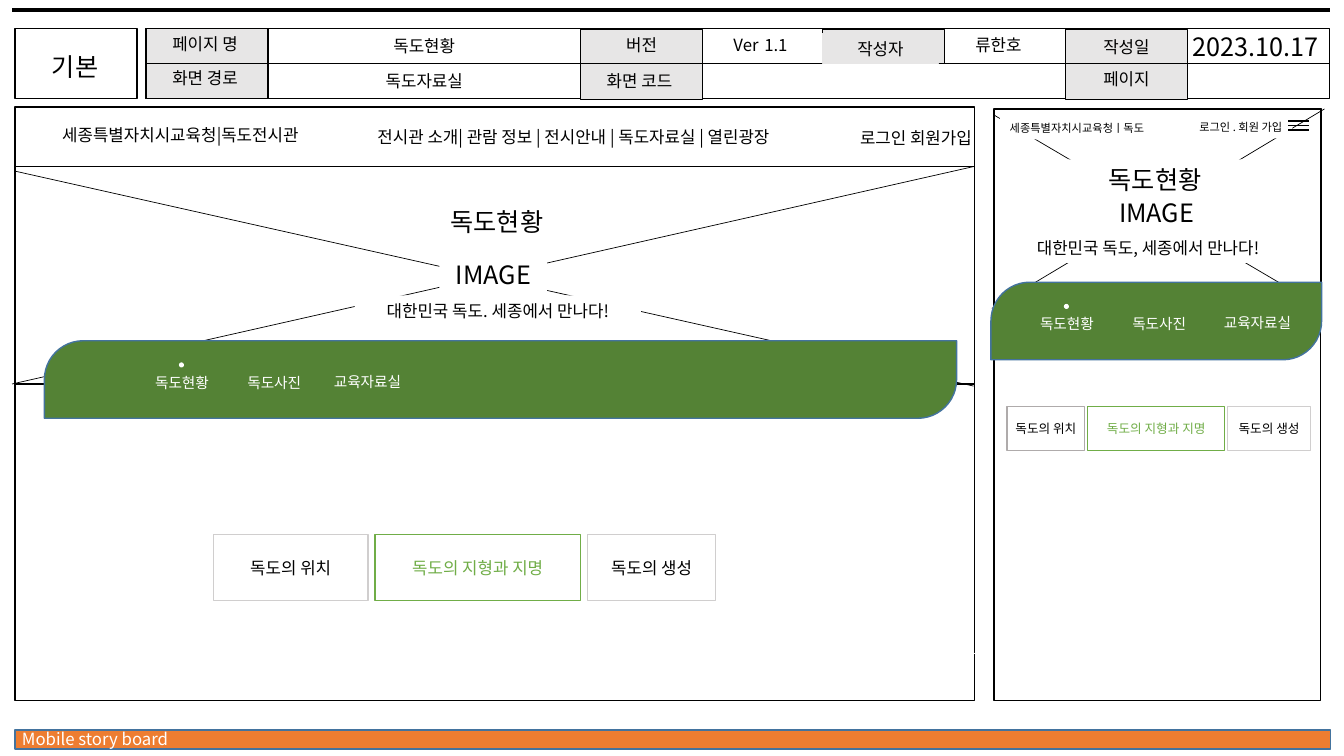
from dataclasses import dataclass
from typing import Optional

from lxml.etree import SubElement
from pptx import Presentation
from pptx.dml.color import RGBColor
from pptx.enum.shapes import MSO_CONNECTOR, MSO_SHAPE
from pptx.enum.text import MSO_ANCHOR, MSO_AUTO_SIZE, PP_ALIGN
from pptx.oxml.ns import qn
from pptx.util import Pt

FONT = "Noto Sans CJK KR"
INK = {
    "black": "000000", "white": "FFFFFF", "orange": "ED7D31", "blue": "43739E",
    "cell": "E7E6E6", "pale": "D0CECE", "grey": "AFABAB",
    "green": "70AD47", "forest": "548235",
}
LEFT, MID, RIGHT = PP_ALIGN.LEFT, PP_ALIGN.CENTER, PP_ALIGN.RIGHT


@dataclass
class Box:
    x: float
    y: float
    w: float
    h: float
    fill: Optional[str] = None
    line: Optional[str] = "black"
    weight: float = 1
    kind: MSO_SHAPE = MSO_SHAPE.RECTANGLE


@dataclass
class Label:
    text: str
    x: float
    y: float
    w: float
    size: float = 12
    ink: str = "black"
    align: PP_ALIGN = MID
    fill: Optional[str] = None


@dataclass
class Rule:
    x1: float
    y1: float
    x2: float
    y2: float
    ink: str = "black"
    weight: float = 0.5


@dataclass
class Topic:
    text: str
    x: float
    w: float
    line: str
    ink: str = "black"


deck = Presentation()
deck.slide_width, deck.slide_height = Pt(960), Pt(540)
slide = deck.slides.add_slide(deck.slide_layouts[5])
shapes = slide.shapes


def shade(name: str) -> RGBColor:
    return RGBColor.from_string(INK[name])


def high(size: float) -> float:
    return size * 1.2 + 7.2


def draw_box(box: Box):
    shape = shapes.add_shape(box.kind, Pt(box.x), Pt(box.y), Pt(box.w), Pt(box.h))
    shape.shadow.inherit = False
    if box.fill:
        shape.fill.solid()
        shape.fill.fore_color.rgb = shade(box.fill)
    else:
        shape.fill.background()
    if box.line:
        shape.line.color.rgb = shade(box.line)
        shape.line.width = Pt(box.weight)
    else:
        shape.line.fill.background()
    return shape


def draw_rule(rule: Rule) -> None:
    line = shapes.add_connector(
        MSO_CONNECTOR.STRAIGHT, Pt(rule.x1), Pt(rule.y1), Pt(rule.x2), Pt(rule.y2))
    line.line.color.rgb = shade(rule.ink)
    line.line.width = Pt(rule.weight)
    SubElement(line._element.spPr, qn("a:effectLst"))


def write(shape, label: Label):
    frame = shape.text_frame
    frame.word_wrap = True
    frame.auto_size = MSO_AUTO_SIZE.SHAPE_TO_FIT_TEXT
    frame.vertical_anchor = MSO_ANCHOR.TOP
    if label.fill:
        shape.fill.solid()
        shape.fill.fore_color.rgb = shade(label.fill)
    line = frame.paragraphs[0]
    line.text = label.text
    line.alignment = label.align
    font = line.font
    font.size = Pt(label.size)
    font.color.rgb = shade(label.ink)
    font.name = FONT
    SubElement(font._element, qn("a:ea")).set("typeface", FONT)
    return line


def draw_label(label: Label):
    shape = shapes.add_textbox(
        Pt(label.x), Pt(label.y), Pt(label.w), Pt(high(label.size)))
    return write(shape, label)


def draw_all(*parts) -> None:
    tools = {Box: draw_box, Label: draw_label, Rule: draw_rule}
    for part in parts:
        tools[type(part)](part)


def draw_panel(x: float, y: float, w: float, start: float, last: float) -> None:
    panel = draw_box(Box(x, y, w, 55.4, "forest", "blue",
                         kind=MSO_SHAPE.ROUND_2_DIAG_RECTANGLE))
    panel.adjustments[0], panel.adjustments[1] = 0.5, 0
    draw_box(Box(start + 32, y + 15.5, 3.6, 3.6, "white", None, kind=MSO_SHAPE.OVAL))
    tabs = [("독도현황", 0, 68.4, 20), ("독도사진", 57.6, 85, 20),
            ("교육자료실", 124.2, last, 19.2)]
    for text, shift, wide, drop in tabs:
        draw_label(Label(text, start + shift, y + drop, wide, 10.5, "white"))


def draw_topics(y: float, h: float, size: float, topics: list[Topic]) -> None:
    for topic in topics:
        draw_box(Box(topic.x, y, topic.w, h, None, topic.line))
        draw_label(Label(topic.text, topic.x - 8, y + (h - high(size)) / 2,
                         topic.w + 16, size, topic.ink))


draw_all(
    Rule(8.6, 7.2, 949.7, 7.2, weight=3),
    Box(10.8, 521.3, 939.6, 13.7, "orange", "blue"),
    Label("Mobile story board", 8.6, 517, 230.4, ink="white", align=LEFT),
    Box(10.8, 20.2, 87.1, 50.4),
    Box(104.4, 20.2, 845.3, 50.4),
    Box(10.8, 76.3, 685.4, 424.1),
)
for x, y, h in [(104.4, 20.2, 50.4), (414.7, 20.9, 50.4),
                (587.5, 20.9, 24.5), (761, 20.9, 50.4)]:
    draw_box(Box(x, y, 87.1, h, "cell"))
draw_all(
    Rule(104.4, 45.4, 949.7, 45.4),
    Box(587.5, 23.8, 82.8, 21.6, None, "cell", 0.75),
    Label("기본", 12.2, 33.1, 82.8, 18),
    Label("페이지 명", 105.1, 20.9, 82.8),
    Label("화면 경로", 105.1, 44.6, 82.8),
    Label("버전", 416.9, 21.6, 82.8),
    Label("화면 코드", 415.4, 46.8, 82.8),
    Label("작성자", 587.5, 23.8, 82.8),
    Label("작성일", 763.2, 23, 82.8),
    Label("페이지", 763.2, 45.4, 82.8),
    Label("류한호", 640.8, 21.6, 144.7),
    Label("2023.10.17", 824.4, 18.7, 144.7, 18),
    Label("독도현황", 220.3, 22.3, 165.6),
    Label("독도자료실", 220.3, 46.8, 165.6),
)
stamp = draw_label(Label("Ver", 470.9, 15.1, 144.7))
for text, size in [(" ", 18), ("1.1", 12)]:
    run = stamp.add_run()
    run.text = text
    run.font.size = Pt(size)

draw_all(
    Box(10.8, 118.8, 685.4, 155.5),
    Label("세종특별자치시교육청|독도전시관", 18.7, 85.7, 220.3),
    Label("전시관 소개| 관람 정보 | 전시안내 | 독도자료실 | 열린광장", 242.6, 87.1, 334.1),
    Label("로그인 회원가입", 419.8, 87.8, 281.5, align=RIGHT),
    Rule(38.2, 226.8, 697.7, 467.3, "white"),
    Rule(8.6, 274.3, 696.2, 118.8),
    Rule(11.5, 122.4, 695.5, 275.8),
    Label("IMAGE", 313.9, 181.4, 77, 18, fill="white"),
    Label("대한민국 독도. 세종에서 만나다!", 253.4, 211, 204.5, fill="white"),
)
head = Label("독도현황", 289.4, 144, 131, 18)
title = shapes.title
title.left, title.top = Pt(head.x), Pt(head.y)
title.width, title.height = Pt(head.w), Pt(high(head.size))
write(title, head)
draw_panel(31.7, 243.4, 651.6, 95.8, 85)
draw_topics(381.6, 47.5, 12, [
    Topic("독도의 위치", 152.6, 110.2, "pale"),
    Topic("독도의 지형과 지명", 267.8, 146.9, "green", "green"),
    Topic("독도의 생성", 419.8, 91.4, "pale"),
])

draw_all(
    Box(710.6, 77.8, 233.3, 144, "white"),
    Box(709.9, 77.8, 233.3, 422.6),
    Rule(708.5, 220.3, 946.1, 77.8),
    Rule(943.9, 219.6, 709.9, 82.1),
    Label("세종특별자치시교육청ㅣ독도", 714.2, 82.8, 134.6, 8, align=LEFT, fill="white"),
    Label("로그인 . 회원 가입", 833.8, 82.1, 89.3, 8, align=RIGHT, fill="white"),
    *[Rule(920.2, 86.4 + 3.2 * i, 935.3, 86.4 + 3.2 * i, weight=1) for i in range(3)],
    Label("IMAGE", 787.7, 137.5, 77, 18, fill="white"),
    Label("대한민국 독도, 세종에서 만나다!", 717.8, 166.3, 204.5, fill="white"),
    Label("독도현황", 759.6, 113.8, 131, 18, fill="white"),
)
draw_panel(707.8, 201.6, 236.2, 727.9, 92.2)
draw_topics(290.2, 31.7, 9, [
    Topic("독도의 위치", 719.3, 55.4, "grey"),
    Topic("독도의 지형과 지명", 776.9, 97.9, "green", "green"),
    Topic("독도의 생성", 877, 59, "pale"),
])

deck.save("out.pptx")
